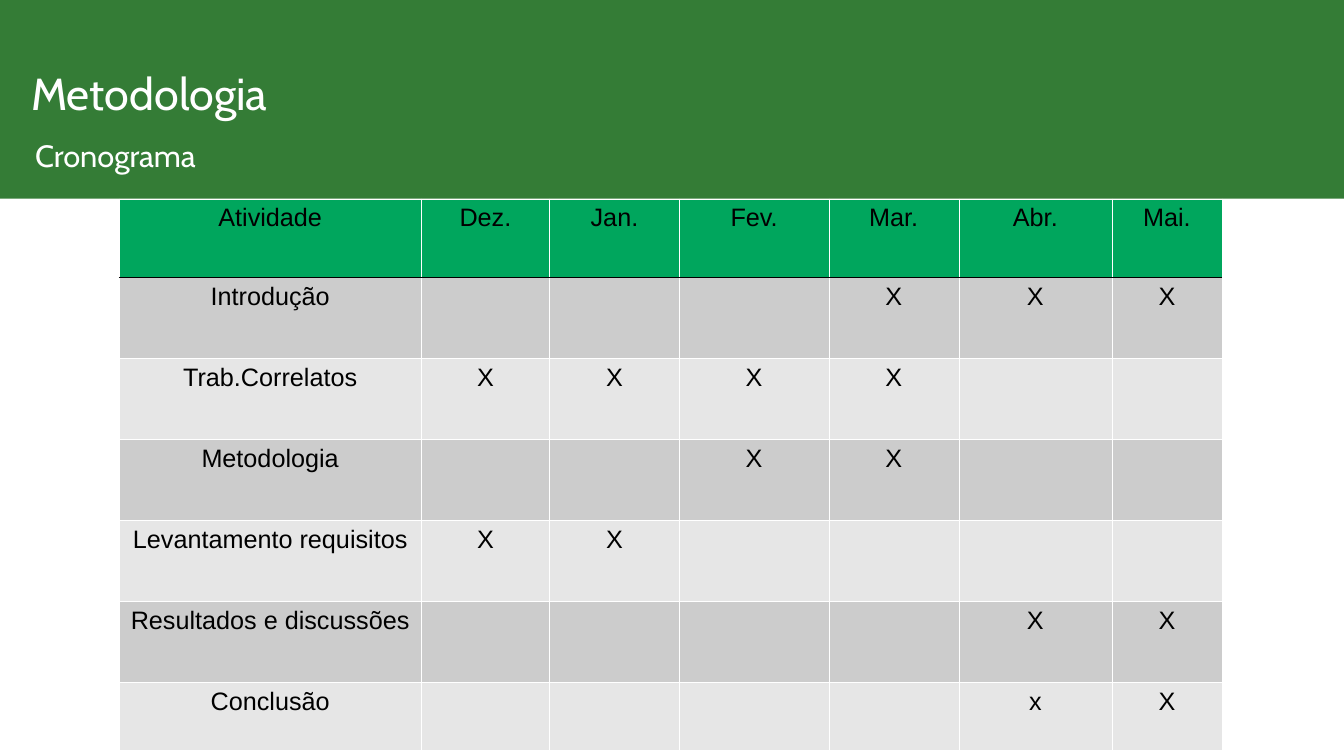
from lxml.etree import SubElement
from pptx import Presentation
from pptx.dml.color import RGBColor
from pptx.enum.shapes import MSO_SHAPE
from pptx.enum.text import PP_ALIGN
from pptx.oxml.ns import qn
from pptx.util import Inches, Pt

SLIDE_WIDTH, SLIDE_HEIGHT = 13.33, 7.5
BAND_HEIGHT = 1.97
BAND_GREEN, HEADER_GREEN = "347C36", "00A65D"
STRIPES = ("CCCCCC", "E6E6E6")
WHITE, BLACK = "FFFFFF", "000000"

# text, size, (left, top, width, height)
HEADINGS = [
    ("Metodologia", 32, (0.21, 0.3, 8.21, 1.43)),
    ("Cronograma", 22, (0.25, 1.01, 6.44, 0.96)),
]
HEADING_INSET = 0.35

SCHEDULE = [
    ("Atividade", "Dez.", "Jan.", "Fev.", "Mar.", "Abr.", "Mai."),
    ("Introdução", "", "", "", "X", "X", "X"),
    ("Trab.Correlatos", "X", "X", "X", "X", "", ""),
    ("Metodologia", "", "", "X", "X", "", ""),
    ("Levantamento requisitos", "X", "X", "", "", "", ""),
    ("Resultados e discussões", "", "", "", "", "X", "X"),
    ("Conclusão", "", "", "", "", "x", "X"),
]
TABLE_LEFT, TABLE_HEIGHT = 1.18, 5.47
COLUMN_WIDTHS = [3, 1.27, 1.29, 1.48, 1.29, 1.52, 1.09]
HEADER_ROW, LAST_ROW = 0.78, 0.67
MIDDLE_COUNT = len(SCHEDULE) - 2
MIDDLE_ROW = (TABLE_HEIGHT - HEADER_ROW - LAST_ROW) / MIDDLE_COUNT
ROW_HEIGHTS = [HEADER_ROW] + [MIDDLE_ROW] * MIDDLE_COUNT + [LAST_ROW]


def paint(color_holder, color):
    """Give a fill a solid colour."""
    color_holder.solid()
    color_holder.fore_color.rgb = RGBColor.from_string(color)


def format_text(paragraph, font_name, size, color):
    paragraph.font.size = Pt(size)
    for run in paragraph.runs:
        run.font.name = font_name
        run.font.size = Pt(size)
        run.font.color.rgb = RGBColor.from_string(color)


def add_borders(cell, top, bottom):
    """Draw hairlines round a cell, white at the sides; call before filling."""
    properties = cell._tc.get_or_add_tcPr()
    for side, color in (("L", WHITE), ("R", WHITE), ("T", top), ("B", bottom)):
        line = SubElement(properties, qn(f"a:ln{side}"), w=str(Pt(0.06)))
        solid = SubElement(line, qn("a:solidFill"))
        SubElement(solid, qn("a:srgbClr"), val=color)


def add_band(slide):
    band = slide.shapes.add_shape(
        MSO_SHAPE.RECTANGLE, 0, 0, Inches(SLIDE_WIDTH), Inches(BAND_HEIGHT))
    band.shadow.inherit = False
    paint(band.fill, BAND_GREEN)
    band.line.fill.background()


def add_heading(slide, text, size, box):
    text_frame = slide.shapes.add_textbox(*map(Inches, box)).text_frame
    text_frame.word_wrap = True
    text_frame.margin_top = Inches(HEADING_INSET)
    text_frame.text = text
    format_text(text_frame.paragraphs[0], "Cabin", size, WHITE)


def add_schedule(slide):
    table = slide.shapes.add_table(
        len(SCHEDULE), len(COLUMN_WIDTHS), Inches(TABLE_LEFT), Inches(BAND_HEIGHT),
        Inches(sum(COLUMN_WIDTHS)), Inches(TABLE_HEIGHT)).table
    table.first_row = table.horz_banding = False
    for column, width in zip(table.columns, COLUMN_WIDTHS):
        column.width = Inches(width)
    for row_index, texts in enumerate(SCHEDULE):
        table.rows[row_index].height = Inches(ROW_HEIGHTS[row_index])
        fill = STRIPES[(row_index - 1) % 2] if row_index else HEADER_GREEN
        top = BLACK if row_index == 1 else WHITE
        bottom = BLACK if row_index == 0 else WHITE
        for column_index, text in enumerate(texts):
            cell = table.cell(row_index, column_index)
            add_borders(cell, top, bottom)
            paint(cell.fill, fill)
            cell.text_frame.text = text
            paragraph = cell.text_frame.paragraphs[0]
            paragraph.alignment = PP_ALIGN.CENTER
            format_text(paragraph, "Arial", 18, BLACK)


def main():
    presentation = Presentation()
    presentation.slide_width = Inches(SLIDE_WIDTH)
    presentation.slide_height = Inches(SLIDE_HEIGHT)
    slide = presentation.slides.add_slide(presentation.slide_layouts[6])
    add_band(slide)
    for heading in HEADINGS:
        add_heading(slide, *heading)
    add_schedule(slide)
    presentation.save("out.pptx")


if __name__ == "__main__":
    main()
